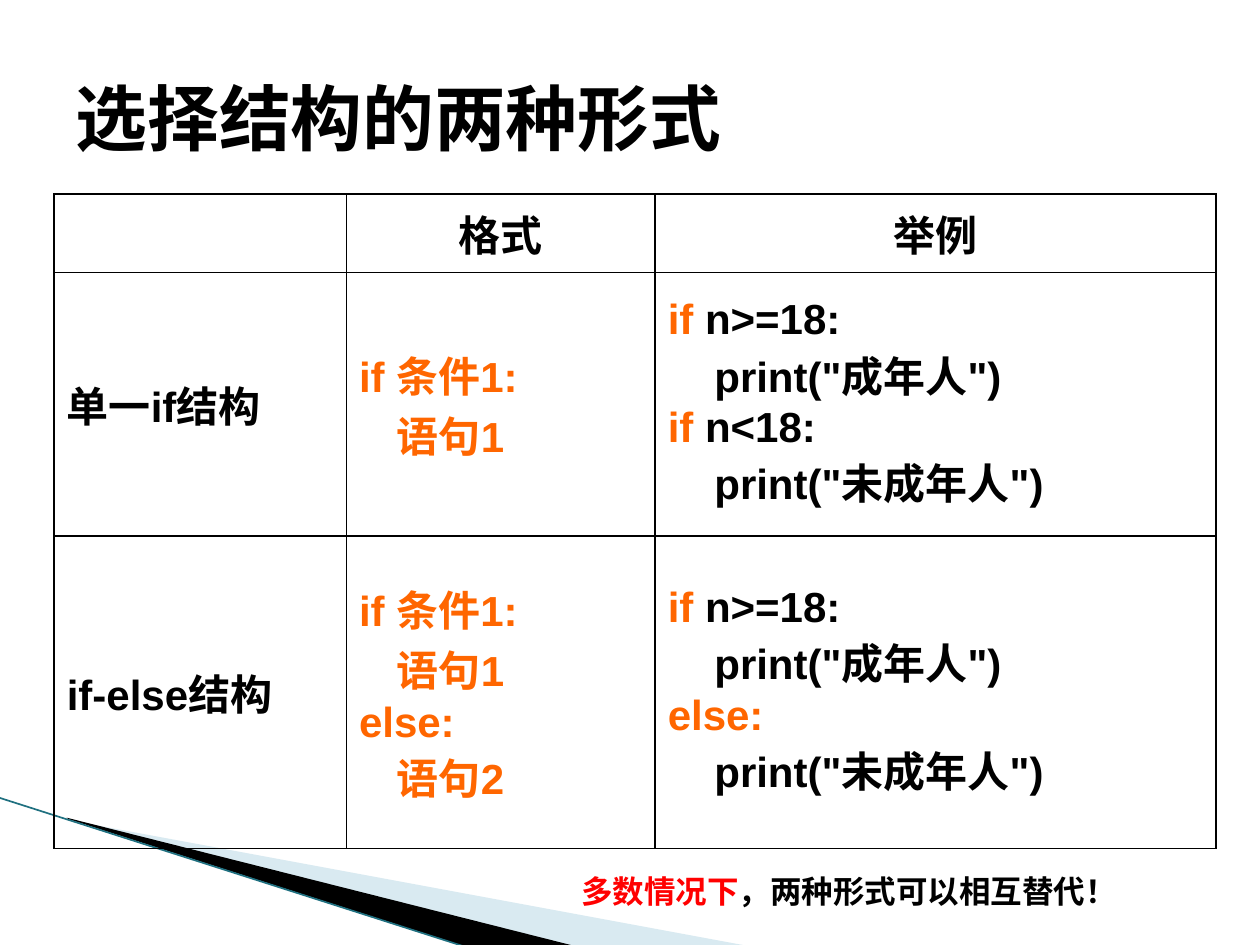
from pptx import Presentation, util as u
from pptx.dml.color import RGBColor
from pptx.enum import shapes, text
from pptx.oxml import parse_xml
from pptx.oxml.ns import nsdecls, qn

# Grid: 1000 columns by 750 rows over a 10 x 7.5 inch slide
WIDTH, HEIGHT = u.Inches(10), u.Inches(7.5)
COL, ROW = WIDTH // 1000, HEIGHT // 750
BLACK, ORANGE, RED, TEAL = "000000", "FF6600", "FF0000", "1F7080"


def colour(value):
    return RGBColor.from_string(value)


def place(left, top, width, height):
    return left * COL, top * ROW, width * COL, height * ROW


def write(paragraph, words, size=24, font="Arial", color=BLACK):
    run = paragraph.add_run()
    run.text = words
    run.font.size, run.font.name, run.font.bold = u.Pt(size), font, True
    run.font.color.rgb = colour(color)


def set_frame(wedge, box):
    """Give the wedge a frame of its own; its outline stays where it is."""
    left, top, width, height = box
    outline = wedge._element.spPr.find(".//" + qn("a:path"))
    for point in outline.iter(qn("a:pt")):
        point.set("x", str((int(point.get("x")) * COL + wedge.left - left) // COL))
        point.set("y", str((int(point.get("y")) * ROW + wedge.top - top) // ROW))
    outline.set("w", str(width // COL))
    outline.set("h", str(height // ROW))
    wedge.left, wedge.top, wedge.width, wedge.height = box


def add_wedge(slide, box, points, fill, alpha=100):
    start, *rest = points
    builder = slide.shapes.build_freeform(*start, scale=COL)
    builder.add_line_segments(rest, close=True)
    wedge = builder.convert_to_shape()
    set_frame(wedge, box)
    wedge.shadow.inherit = False
    wedge.line.fill.background()
    wedge.fill.solid()
    wedge.fill.fore_color.rgb = colour(fill)
    if alpha < 100:
        tint = wedge.fill._xPr.find(".//" + qn("a:srgbClr"))
        tint.append(parse_xml(f'<a:alpha {nsdecls("a")} val="{alpha * 1000}"/>'))


def add_corner(slide):
    """Swoosh along the bottom left edge."""
    add_wedge(slide, place(78, 547, 416, 158),
              [(55, 651), (595, 751), (456, 751), (55, 650)], "A0CBDC", 40)
    add_wedge(slide, place(-6, 633, 416, 92),
              [(53, 649), (457, 751), (372, 752), (54, 650)], BLACK)
    edge = slide.shapes.add_connector(
        shapes.MSO_CONNECTOR.STRAIGHT, -COL, 633 * ROW, 371 * COL, 752 * ROW)
    edge.line.color.rgb = colour(TEAL)
    edge.line.width = u.Pt(0.95)
    edge._element.spPr.append(parse_xml(f'<a:effectLst {nsdecls("a")}/>'))


def add_title(slide, box, words):
    title = slide.shapes.title
    title.left, title.top, title.width, title.height = box
    title.text_frame.vertical_anchor = text.MSO_ANCHOR.MIDDLE
    heading = title.text_frame.paragraphs[0]
    heading.alignment = text.PP_ALIGN.LEFT
    write(heading, words, size=41, font="Courier New")


def border(cell):
    props = cell._tc.get_or_add_tcPr()
    for index, side in enumerate(("lnL", "lnR", "lnT", "lnB")):
        props.insert(index, parse_xml(
            f'<a:{side} {nsdecls("a")} w="12700"><a:solidFill>'
            f'<a:srgbClr val="{BLACK}"/></a:solidFill></a:{side}>'))


def fill_cell(cell, lines, align):
    """Each line is (indent in columns, [(words, colour), ...])."""
    cell.fill.background()
    cell.vertical_anchor = text.MSO_ANCHOR.MIDDLE
    cell.margin_left = cell.margin_right = 10 * COL
    cell.margin_top = cell.margin_bottom = 7 * ROW
    border(cell)
    for number, (indent, parts) in enumerate(lines):
        frame = cell.text_frame
        line = frame.add_paragraph() if number else frame.paragraphs[0]
        line.alignment = align
        if indent:
            line._p.get_or_add_pPr().set("marL", str(indent * COL))
        for words, color in parts:
            write(line, words, color=color)


def label(words):
    return [(0, [(words, BLACK)])]


def keyword(words, rest=""):
    parts = [(words, ORANGE)]
    return 0, parts + [(rest, BLACK)] if rest else parts


def statement(number):
    return 30, [(f"语句{number}", ORANGE)]


def output(words):
    return 37, [(f'print("{words}")', BLACK)]


def add_comparison(slide, box, columns, rows, content):
    table = slide.shapes.add_table(len(rows), len(columns), *box).table
    table.first_row = table.horz_banding = False
    for column, width in zip(table.columns, columns):
        column.width = width * COL
    for row, height in zip(table.rows, rows):
        row.height = height * ROW
    for r, row in enumerate(content):
        align = text.PP_ALIGN.LEFT if r else text.PP_ALIGN.CENTER
        for c, lines in enumerate(row):
            fill_cell(table.cell(r, c), lines, align)


def add_remark(slide, box, parts):
    frame = slide.shapes.add_textbox(*box).text_frame
    frame.word_wrap = True
    frame.auto_size = text.MSO_AUTO_SIZE.SHAPE_TO_FIT_TEXT
    remark = frame.paragraphs[0]
    remark.alignment = text.PP_ALIGN.CENTER
    for words, color in parts:
        write(remark, words, size=18, color=color)


def main():
    deck = Presentation()
    deck.slide_width, deck.slide_height = WIDTH, HEIGHT
    slide = deck.slides.add_slide(deck.slide_layouts[5])

    add_corner(slide)
    add_title(slide, place(50, 30, 900, 125), "选择结构的两种形式")

    # Forms of selection, with their syntax and an example
    condition = keyword("if 条件1:")
    adult = [keyword("if ", "n>=18:"), output("成年人")]
    minor = output("未成年人")
    content = [
        [[], label("格式"), label("举例")],
        [label("单一if结构"),
         [condition, statement(1)],
         [*adult, keyword("if ", "n<18:"), minor]],
        [label("if-else结构"),
         [condition, statement(1), keyword("else:"), statement(2)],
         [*adult, keyword("else:"), minor]],
    ]
    add_comparison(slide, place(43, 154, 922, 519),
                   (232, 245, 445), (62, 209, 248), content)

    add_remark(slide, place(422, 687, 504, 40),
               [("多数情况下", RED), ("，两种形式可以相互替代！", BLACK)])
    deck.save("out.pptx")


if __name__ == "__main__":
    main()
